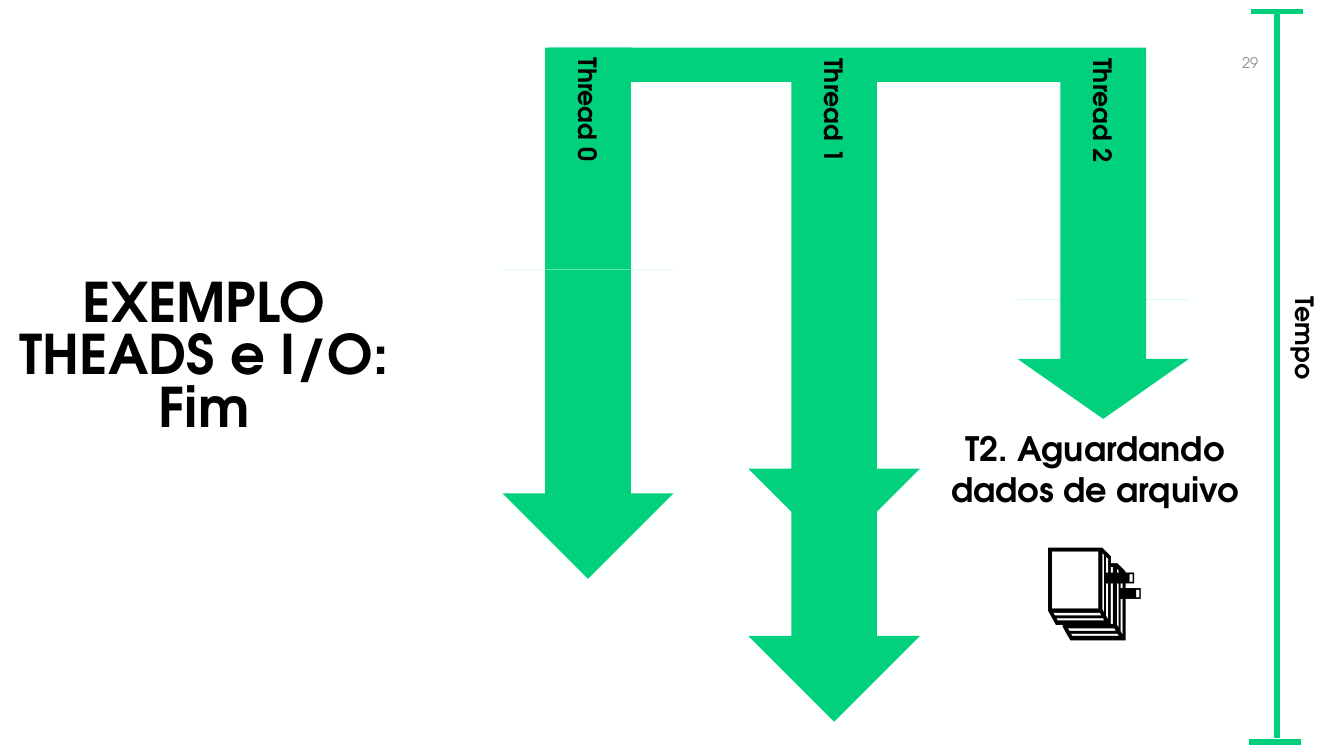
from lxml.etree import SubElement
from pptx import Presentation
from pptx.dml.color import RGBColor
from pptx.enum.shapes import MSO_CONNECTOR as Connector, MSO_SHAPE as Shape
from pptx.enum.text import MSO_ANCHOR as Anchor, MSO_AUTO_SIZE as AutoSize, PP_ALIGN as Align
from pptx.oxml.ns import qn
from pptx.util import Pt

GREEN = RGBColor(0x01, 0xD1, 0x7D)
BLACK = RGBColor(0x00, 0x00, 0x00)
GRAY = RGBColor(0x8C, 0x8C, 0x8C)
BACKGROUND = RGBColor(0xFE, 0xFF, 0xFF)
FONT = "TeX Gyre Adventor"
ARROW_WIDTH = 122.4


def add_text(paragraph, text, size, color=BLACK, bold=True):
    for index, line in enumerate(text.split("\n")):
        if index:
            paragraph.add_line_break()
        run = paragraph.add_run()
        run.text = line
        run.font.name = FONT
        run.font.size = Pt(size)
        run.font.bold = bold
        run.font.color.rgb = color


def add_green_shape(kind, left, top, width, height):
    shape = slide.shapes.add_shape(kind, Pt(left), Pt(top), Pt(width), Pt(height))
    shape.shadow.inherit = False
    shape.fill.solid()
    shape.fill.fore_color.rgb = GREEN
    shape.line.fill.background()
    return shape


presentation = Presentation()
presentation.slide_width = Pt(960)
presentation.slide_height = Pt(540)
slide = presentation.slides.add_slide(presentation.slide_layouts[6])
slide.background.fill.solid()
slide.background.fill.fore_color.rgb = BACKGROUND

add_green_shape(Shape.RECTANGLE, 392.4, 34, 426.2, 24.5)

timeline = slide.shapes.add_group_shape()
for x1, y1, x2, y2 in [
    (912.2, 8, 912.2, 527),
    (893.5, 8, 930.5, 8),
    (892, 530, 929.5, 530),
]:
    line = timeline.shapes.add_connector(Connector.STRAIGHT, Pt(x1), Pt(y1), Pt(x2), Pt(y2))
    line.line.color.rgb = GREEN
    line.line.width = Pt(3.75)
    SubElement(line._element.spPr, qn("a:effectLst"))

for center, top, length, head, label in [
    (420, 34, 158.4, 0, "Thread 0"),
    (420, 192.6, 221, 0.5, ""),
    (595.8, 335.5, 180, 0.5, ""),
    (788, 213.5, 85.7, 0.5, ""),
    (788, 34.6, 179.3, 0, "Thread 2"),
    (595.8, 34.6, 361.4, 0.5, "Thread 1"),
]:
    arrow = add_green_shape(
        Shape.RIGHT_ARROW,
        center - length / 2,
        top + (length - ARROW_WIDTH) / 2,
        length,
        ARROW_WIDTH,
    )
    arrow.rotation = 90
    arrow.adjustments[1] = head
    if label:
        arrow.text_frame.vertical_anchor = Anchor.MIDDLE
        paragraph = arrow.text_frame.paragraphs[0]
        paragraph.alignment = Align.LEFT
        add_text(paragraph, label, 18)

time_box = slide.shapes.add_textbox(Pt(895), Pt(228.2), Pt(75.6), Pt(28.8))
time_box.rotation = 90
time_box.text_frame.word_wrap = False
time_box.text_frame.auto_size = AutoSize.SHAPE_TO_FIT_TEXT
add_text(time_box.text_frame.paragraphs[0], "Tempo", 18)

number_box = slide.shapes.add_textbox(Pt(689.8), Pt(30.2), Pt(216), Pt(28.8))
number_box.text_frame.word_wrap = True
number_box.text_frame.vertical_anchor = Anchor.MIDDLE
paragraph = number_box.text_frame.paragraphs[0]
paragraph.alignment = Align.RIGHT
add_text(paragraph, "29", 10.5, GRAY, False)

title_box = slide.shapes.add_textbox(Pt(-0.7), Pt(190), Pt(293), Pt(133.2))
title_box.text_frame.word_wrap = True
title_box.text_frame.vertical_anchor = Anchor.MIDDLE
paragraph = title_box.text_frame.paragraphs[0]
paragraph.alignment = Align.CENTER
paragraph.line_spacing = 0.8
add_text(paragraph, "EXEMPLO\nTHEADS e I/O:\nFim", 39)

waiting_box = slide.shapes.add_textbox(Pt(650.9), Pt(302.4), Pt(262.8), Pt(162.7))
waiting_frame = waiting_box.text_frame
waiting_frame.word_wrap = True
waiting_frame.auto_size = AutoSize.SHAPE_TO_FIT_TEXT
paragraph = waiting_frame.paragraphs[0]
paragraph.alignment = Align.CENTER
add_text(paragraph, "T2. Aguardando dados de arquivo", 24)
paragraph = waiting_frame.add_paragraph()
paragraph.alignment = Align.CENTER
paragraph.space_before = Pt(10)
add_text(paragraph, "📑", 72, bold=False)

presentation.save("out.pptx")
